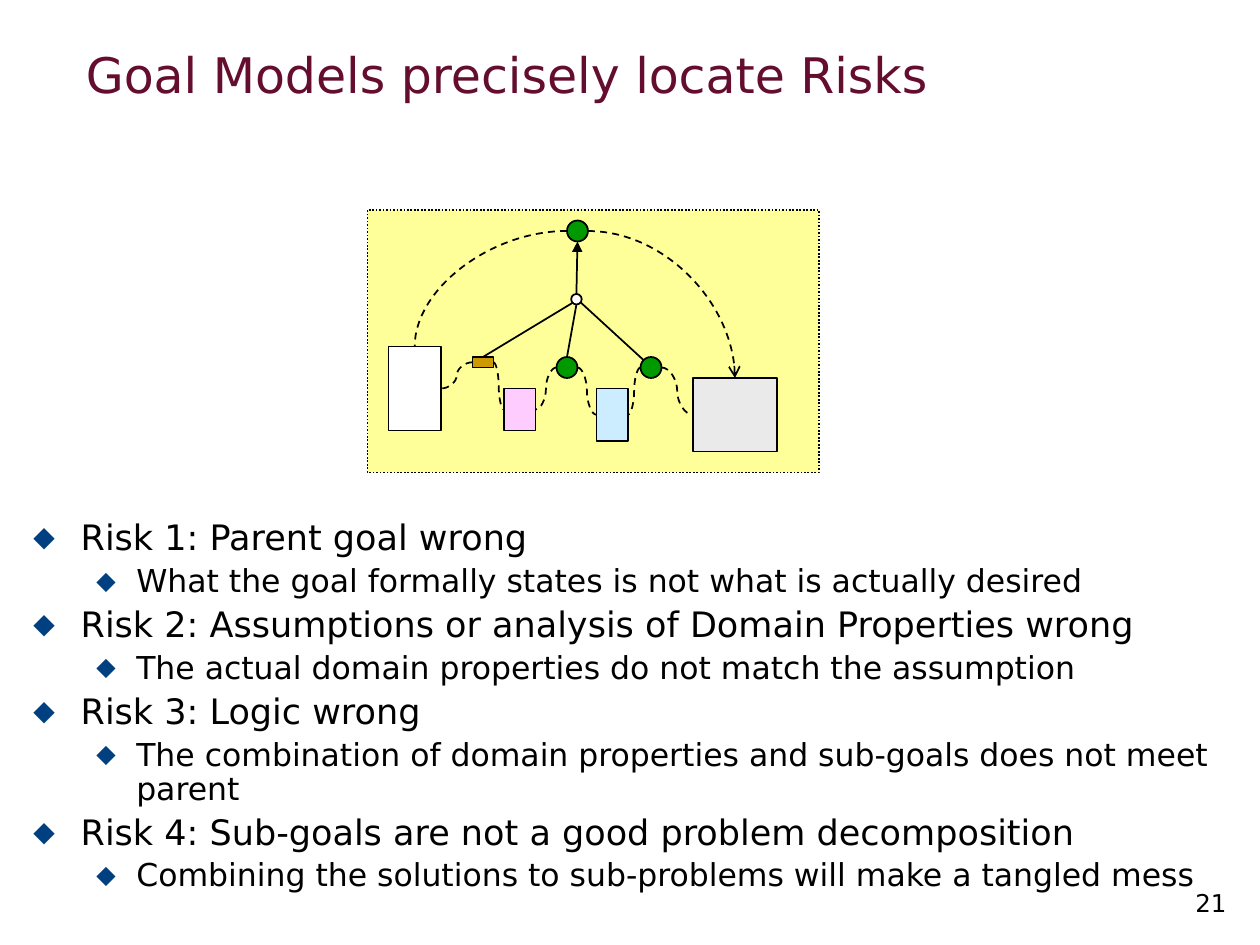
from dataclasses import dataclass

from lxml import etree
from pptx import Presentation
from pptx.dml.color import RGBColor
from pptx.enum.dml import MSO_LINE
from pptx.enum.shapes import MSO_CONNECTOR, MSO_SHAPE
from pptx.enum.text import MSO_ANCHOR, PP_ALIGN
from pptx.oxml.ns import qn
from pptx.util import Pt

RECT, OVAL = MSO_SHAPE.RECTANGLE, MSO_SHAPE.OVAL
LINE, CURVE = MSO_CONNECTOR.STRAIGHT, MSO_CONNECTOR.CURVE
DASH, DOT = MSO_LINE.DASH, MSO_LINE.ROUND_DOT
LEFT, RIGHT = PP_ALIGN.LEFT, PP_ALIGN.RIGHT
TOP, MIDDLE = MSO_ANCHOR.TOP, MSO_ANCHOR.MIDDLE
SCALE = 7620


@dataclass
class Theme:
    font: str = "DejaVu Sans"
    ink: str = "000000"
    title: str = "640D2E"
    bullet: str = "004080"
    panel: str = "FFFF99"
    goal: str = "009900"
    white: str = "FFFFFF"
    pink: str = "FFCCFF"
    blue: str = "CCECFF"
    grey: str = "EAEAEA"
    gold: str = "CC9900"
    head: int = 28
    risk: int = 20
    note: int = 18
    page: int = 14


def px(*nums):
    return [n * SCALE for n in nums]


def rgb(color):
    return RGBColor.from_string(color)


class Board:
    def __init__(self, slide, theme):
        self.slide = slide
        self.theme = theme
        self.group = slide.shapes.add_group_shape().shapes

    def stroke(self, line, dash):
        line.color.rgb = rgb(self.theme.ink)
        line.width = Pt(1)
        if dash:
            line.dash_style = dash

    def node(self, kind, box, fill, dash=None):
        shape = self.group.add_shape(kind, *px(*box))
        shape.shadow.inherit = False
        shape.fill.solid()
        shape.fill.fore_color.rgb = rgb(fill)
        self.stroke(shape.line, dash)
        return shape

    def link(self, kind, start, end, dash=None, tip=None):
        link = self.group.add_connector(kind, *px(*start, *end))
        self.stroke(link.line, dash)
        props = link._element.spPr
        if tip:
            etree.SubElement(props.find(qn("a:ln")), qn("a:tailEnd"), type=tip)
        etree.SubElement(props, qn("a:effectLst"))
        return link

    def arc(self, start, end, tip=None):
        link = self.link(CURVE, start, end, DASH, tip)
        link._element.spPr.find(qn("a:prstGeom")).set("prst", "curvedConnector2")

    def frame(self, box, anchor=TOP):
        frame = self.slide.shapes.add_textbox(*px(*box)).text_frame
        frame.word_wrap = True
        frame.vertical_anchor = anchor
        return frame

    def style(self, para, text, size, color):
        para.text = text
        para.font.name = self.theme.font
        para.font.size = Pt(size)
        para.font.color.rgb = rgb(color)

    def text(self, box, text, size, color, align=LEFT, anchor=TOP):
        para = self.frame(box, anchor).paragraphs[0]
        para.alignment = align
        self.style(para, text, size, color)

    def bullet(self, para, left, hang):
        props = para._p.get_or_add_pPr()
        props.set("marL", str(left * SCALE))
        props.set("indent", str(-hang * SCALE))
        color = etree.SubElement(props, qn("a:buClr"))
        etree.SubElement(color, qn("a:srgbClr"), val=self.theme.bullet)
        etree.SubElement(props, qn("a:buSzPct"), val="80000")
        etree.SubElement(props, qn("a:buFont"), typeface=self.theme.font)
        etree.SubElement(props, qn("a:buChar"), char="◆")

    def outline(self, box, items):
        frame = self.frame(box)
        levels = [(45, 45, self.theme.risk, 4.5), (98, 38, self.theme.note, 4)]
        for i, (level, text) in enumerate(items):
            para = frame.add_paragraph() if i else frame.paragraphs[0]
            left, hang, size, gap = levels[level]
            para.level = level
            self.bullet(para, left, hang)
            para.line_spacing = 0.9
            para.space_before = Pt(gap if i else 0)
            self.style(para, text, size, self.theme.ink)


RISKS = [
    ("Risk 1: Parent goal wrong",
     "What the goal formally states is not what is actually desired"),
    ("Risk 2: Assumptions or analysis of Domain Properties wrong",
     "The actual domain properties do not match the assumption"),
    ("Risk 3: Logic wrong",
     "The combination of domain properties and sub-goals does not meet parent"),
    ("Risk 4: Sub-goals are not a good problem decomposition",
     "Combining the solutions to sub-problems will make a tangled mess"),
]

WAVES = [
    ((450, 345), (420, 370)),
    ((470, 345), (480, 390)),
    ((530, 350), (510, 390)),
    ((550, 350), (568, 395)),
    ((610, 350), (598, 395)),
    ((630, 350), (660, 395)),
]


def main():
    deck = Presentation()
    deck.slide_width, deck.slide_height = px(1200, 900)
    theme = Theme()
    board = Board(deck.slides.add_slide(deck.slide_layouts[6]), theme)

    board.node(RECT, (350, 200, 430, 250), theme.panel, DOT)
    for left, top in [(540, 210), (530, 340), (610, 340)]:
        board.node(OVAL, (left, top, 20, 20), theme.goal)
    board.node(RECT, (370, 330, 50, 80), theme.white)
    board.node(RECT, (480, 370, 30, 40), theme.pink)
    board.node(RECT, (660, 360, 80, 70), theme.grey)
    board.node(RECT, (568, 370, 30, 50), theme.blue)
    board.node(OVAL, (544, 280, 10, 10), theme.white)
    fact = board.node(RECT, (450, 340, 20, 10), theme.gold)

    board.arc((540, 220), (395, 330))
    board.arc((560, 220), (700, 360), "arrow")
    board.link(LINE, (549, 280), (550, 230), tip="triangle")
    board.link(LINE, (540, 340), (549, 290))
    board.link(LINE, (613, 343), (553, 288))
    board.link(LINE, (460, 340), (546, 288)).begin_connect(fact, 0)
    for start, end in WAVES:
        board.link(CURVE, start, end, DASH)

    board.text((70, 20, 1110, 100), "Goal Models precisely locate Risks",
               theme.head, theme.title, anchor=MIDDLE)
    board.outline((20, 490, 1160, 350),
                  [item for pair in RISKS for item in enumerate(pair)])
    board.text((930, 840, 250, 40), "21", theme.page, theme.ink, RIGHT)
    deck.save("out.pptx")


if __name__ == "__main__":
    main()
